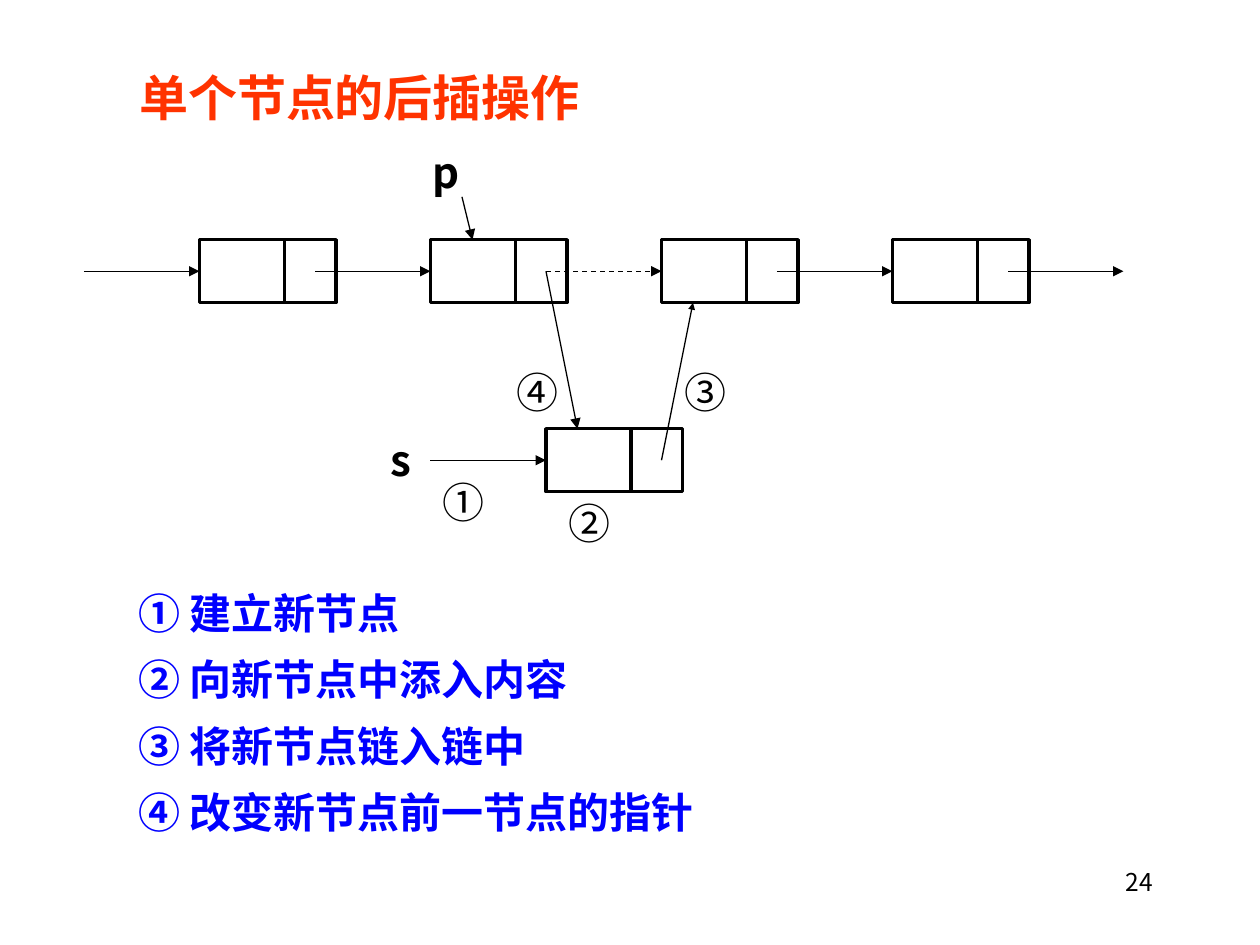
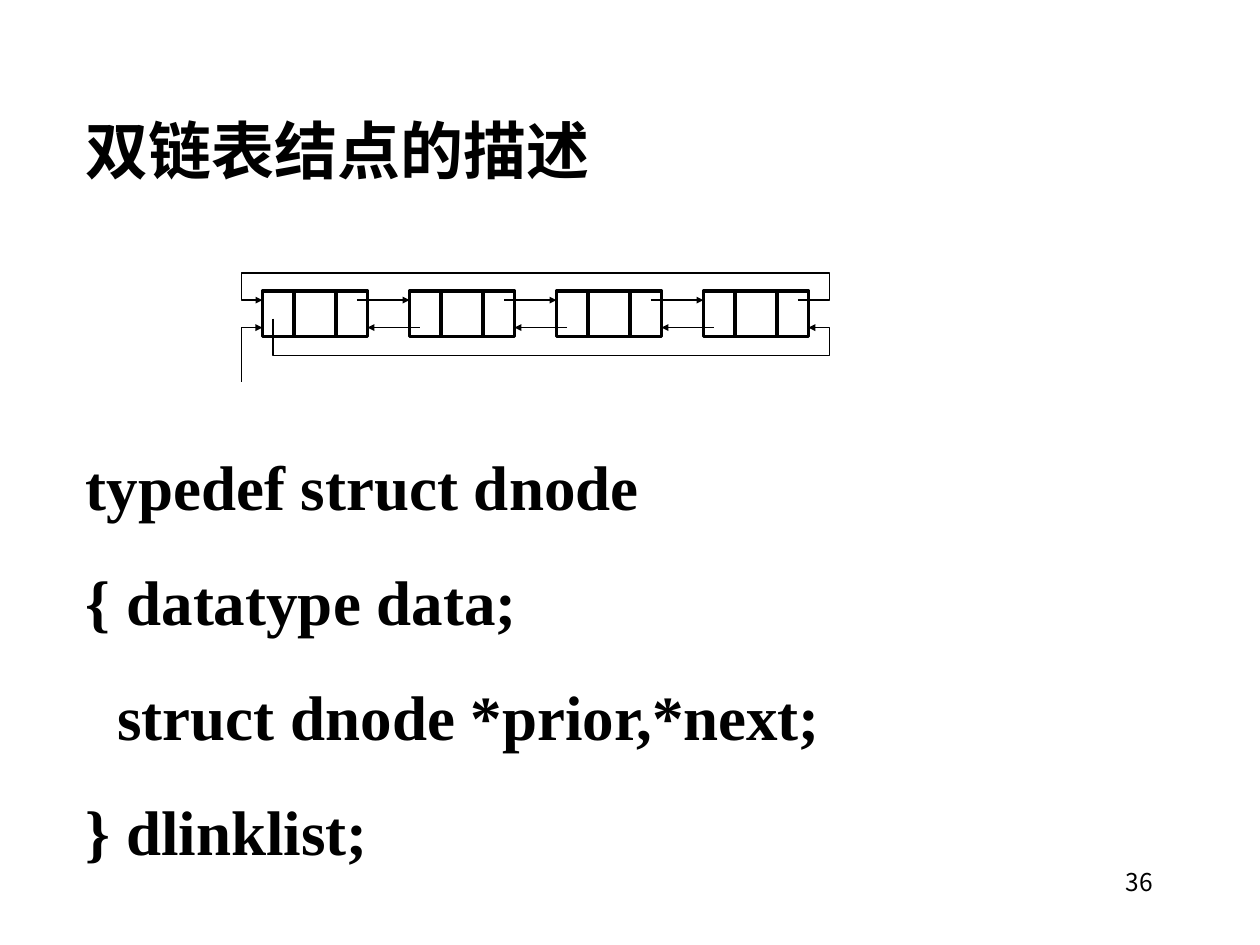
"""Build two slides on linked lists: inserting after a node, and the doubly linked node."""
from lxml import etree
from pptx import Presentation
from pptx import util as u
from pptx.dml.color import RGBColor
from pptx.enum import dml, shapes, text
from pptx.oxml import ns

Pt = u.Pt
BLACK = RGBColor(0x00, 0x00, 0x00)
ORANGE = RGBColor(0xFF, 0x33, 0x00)
BLUE = RGBColor(0x00, 0x00, 0xFF)
SANS = "Noto Sans CJK JP"
SERIF = "Times New Roman"
THICK, THIN = 2, 0.75


def write(slide, box, lines, size, font=SANS, color=BLACK, bold=False, before=15, spacing=None):
    """Place a text box with one paragraph per line and return its paragraphs."""
    frame = slide.shapes.add_textbox(*map(Pt, box)).text_frame
    frame.word_wrap = True
    frame.text = "\n".join(lines)
    for paragraph in frame.paragraphs:
        paragraph.space_before = Pt(before)
        paragraph.line_spacing = spacing
        for run in paragraph.runs:
            run.font.name = font
            run.font.size = Pt(size)
            run.font.bold = bold
            run.font.color.rgb = color
            east_asian = etree.SubElement(run.font._element, ns.qn("a:ea"))
            east_asian.set("typeface", SANS)
    return frame.paragraphs


def draw(slide, points, width=THIN, head=None, dashed=False):
    """Draw a straight or bent line, with an arrowhead of the given size at its end."""
    corners = [(Pt(x), Pt(y)) for x, y in points]
    if len(corners) == 2:
        stroke = slide.shapes.add_connector(shapes.MSO_CONNECTOR.STRAIGHT, *corners[0], *corners[1])
    else:
        builder = slide.shapes.build_freeform(*corners[0])
        builder.add_line_segments(corners[1:], close=False)
        stroke = builder.convert_to_shape()
        stroke.fill.background()
    stroke.line.color.rgb = BLACK
    stroke.line.width = Pt(width)
    if dashed:
        stroke.line.dash_style = dml.MSO_LINE.DASH
    properties = stroke._element.spPr
    if head:
        tail = etree.SubElement(properties.get_or_add_ln(), ns.qn("a:tailEnd"))
        for key, value in (("type", "triangle"), ("w", head), ("len", head)):
            tail.set(key, value)
    etree.SubElement(properties, ns.qn("a:effectLst"))


prs = Presentation()
prs.slide_width, prs.slide_height = Pt(720), Pt(540)
insertion, double_list = [prs.slides.add_slide(prs.slide_layouts[6]) for _ in range(2)]

for slide, number in ((insertion, "24"), (double_list, "36")):
    write(slide, (516, 492, 150, 36), [number], 14, before=8.8)[0].alignment = text.PP_ALIGN.RIGHT

chain_top, chain_step, new_top = 137, 132, 245
dnode_left, dnode_top, dnode_step = 150, 166.3, 84
nodes = [(insertion, 114 + chain_step * i, chain_top, 78, 36, [48.7]) for i in range(4)]
nodes.append((insertion, 312, new_top, 78, 36, [48.7]))
nodes += [(double_list, dnode_left + dnode_step * i, dnode_top, 60, 26, [18, 42]) for i in range(4)]

for slide, left, top, width, height, dividers in nodes:
    node = slide.shapes.add_shape(shapes.MSO_SHAPE.RECTANGLE, Pt(left), Pt(top), Pt(width), Pt(height))
    node.shadow.inherit = False
    node.fill.background()
    node.line.color.rgb = BLACK
    node.line.width = Pt(THICK)
    for offset in dividers:
        draw(slide, [(left + offset, top), (left + offset, top + height)], THICK)

write(insertion, (72.5, 44, 290, 31), ["单个节点的后插操作"], 28, SERIF, ORANGE, True, 17.5, 0.7)

chain_middle, new_middle = chain_top + 18, new_top + 18
for i in range(5):
    start = 48 + chain_step * i
    draw(insertion, [(start, chain_middle), (start + 66, chain_middle)], head="med", dashed=i == 2)
draw(insertion, [(264, 112.5), (270, chain_top)], head="med")
draw(insertion, [(246, new_middle), (312, new_middle)], head="med")
draw(insertion, [(312, chain_middle), (330, new_top)], head="med")
draw(insertion, [(378, new_middle), (396, chain_top + 36)], head="sm")

for label, left, top, bold in (
    ("p", 240, 80, True),
    ("s", 216, 245, True),
    ("①", 246, 268.5, False),
    ("②", 318, 281, False),
    ("③", 384, 206, False),
    ("④", 288, 206, False),
):
    write(insertion, (left, top, 60, 36), [label], 24, bold=bold)

steps = ["① 建立新节点", "② 向新节点中添入内容", "③ 将新节点链入链中", "④ 改变新节点前一节点的指针"]
write(insertion, (72, 337.5, 576, 145), steps, 24, color=BLUE, bold=True, spacing=0.8)

write(double_list, (42, 60, 594, 50), ["双链表结点的描述"], 36, SERIF, bold=True, before=22.5)

next_y, prior_y = 171.5, 187.2
for i in range(3):
    shift = dnode_left + dnode_step * i
    draw(double_list, [(shift + 54, next_y), (shift + 84, next_y)], head="sm")
    draw(double_list, [(shift + 90, prior_y), (shift + 60, prior_y)], head="sm")

outer_left, outer_right, loop_top, loop_bottom = 138, 474, 156, 203
next_loop = [(456, next_y), (outer_right, next_y), (outer_right, loop_top),
             (outer_left, loop_top), (outer_left, next_y), (dnode_left, next_y)]
prior_loop = [(156, 182), (156, loop_bottom), (outer_right, loop_bottom),
              (outer_right, prior_y), (462, prior_y)]
entry = [(outer_left, 218), (outer_left, prior_y), (dnode_left, prior_y)]
for route in (next_loop, prior_loop, entry):
    draw(double_list, route, head="sm")

struct = ["typedef struct dnode", "{ datatype data;", "struct dnode *prior,*next;", "} dlinklist;"]
struct_lines = write(double_list, (42, 252, 624, 248), struct, 36, SERIF, bold=True, before=22.5)
struct_lines[2]._p.get_or_add_pPr().set("marL", str(Pt(18)))

prs.save("out.pptx")
